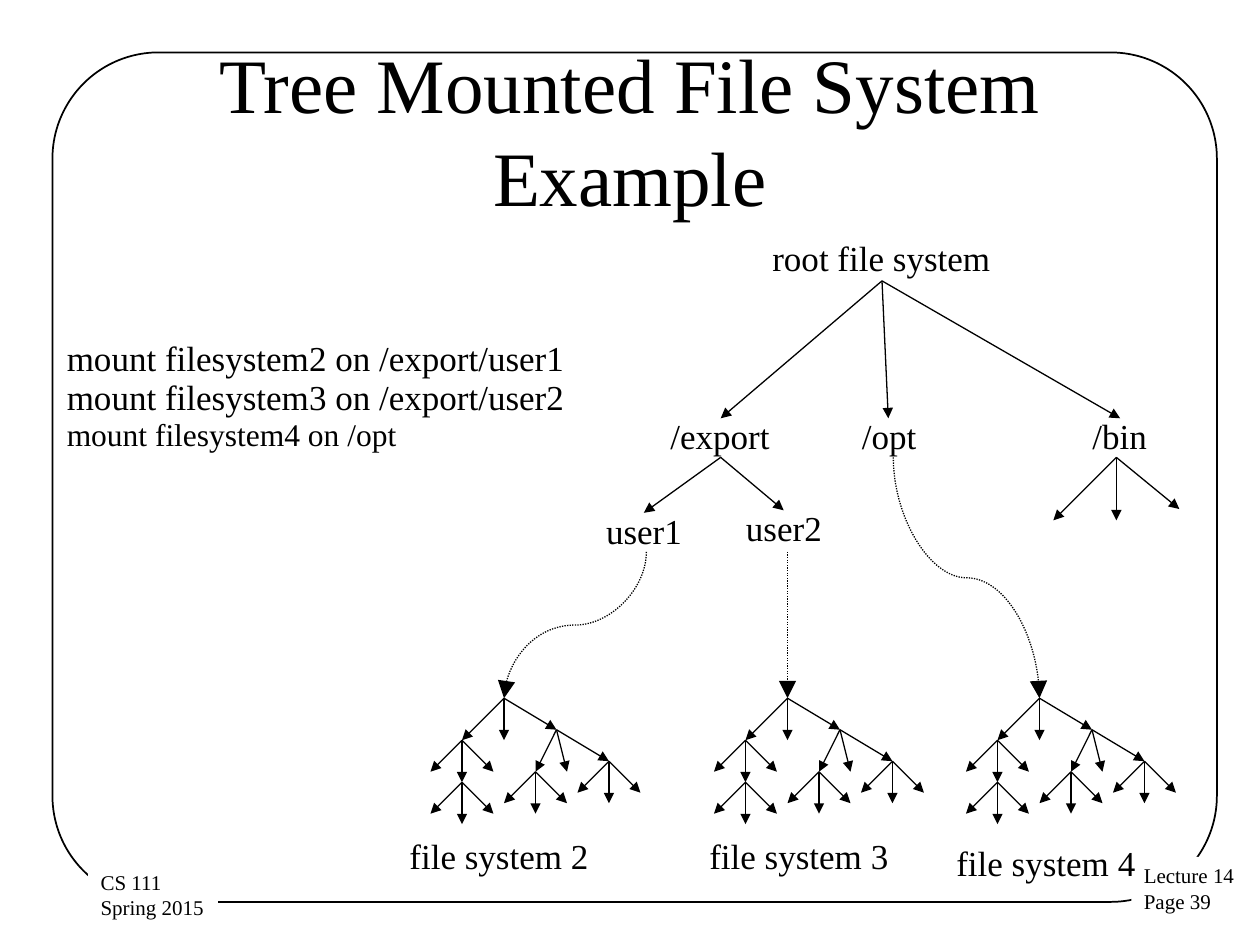
from lxml import etree
from pptx import Presentation
from pptx import util as u
from pptx.dml import color
from pptx.enum import dml, shapes, text
from pptx.oxml import ns

COLORS = {"ink": "000000", "paper": "FFFFFF"}
FONT = "Times New Roman"
COLUMNS, ROWS = 120, 90
CELL = u.Inches(10) // COLUMNS

# Each fork of a file system tree: a node and its children, in cells from the apex
TREE_FORKS = {
    (0, 0): [(-4, 4), (0, 4), (5, 3)],
    (5, 3): [(3, 7), (6, 7), (10, 6)],
    **{(x, y): [(x - 3, y + 3), (x, y + 4), (x + 3, y + 3)]
       for x, y in [(-4, 4), (-4, 8), (3, 7), (10, 6)]},
}


def cells(*counts):
    """Turn counts of grid cells into lengths."""
    return [u.Emu(round(count * CELL)) for count in counts]


def rgb(name):
    """Look up a colour by name."""
    return color.RGBColor.from_string(COLORS[name])


def write(frame, lines, sizes, spacing=None, align=None, margins=(0, 0),
          anchor=text.MSO_ANCHOR.TOP, wrap=False):
    """Fill a text frame with one paragraph per line."""
    frame.auto_size = text.MSO_AUTO_SIZE.NONE
    frame.word_wrap = wrap
    frame.vertical_anchor = anchor
    frame.margin_left = frame.margin_right = u.Inches(margins[0])
    frame.margin_top = frame.margin_bottom = u.Inches(margins[1])
    for index, (line, size) in enumerate(zip(lines, sizes)):
        paragraph = frame.add_paragraph() if index else frame.paragraphs[0]
        paragraph.alignment = align
        paragraph.line_spacing = spacing
        run = paragraph.add_run()
        run.text = line
        run.font.name = FONT
        run.font.size = u.Pt(size)
        run.font.color.rgb = rgb("ink")


def add_label(slide, box, *lines, sizes=(20,)):
    """Place a tight label in a box of cells."""
    frame = slide.shapes.add_textbox(*cells(*box)).text_frame
    write(frame, lines, sizes, spacing=0.93)


def add_arrow(container, start, end, kind=shapes.MSO_CONNECTOR.STRAIGHT,
              dash=None, head="med"):
    """Draw an arrow between two points of the grid."""
    arrow = container.add_connector(kind, *cells(*start, *end))
    arrow.line.width = u.Pt(0.75)
    arrow.line.color.rgb = rgb("ink")
    if dash:
        arrow.line.dash_style = dash
    line = arrow.line._get_or_add_ln()
    etree.SubElement(line, ns.qn("a:tailEnd"), type="triangle", w=head, len=head)
    etree.SubElement(arrow._element.spPr, ns.qn("a:effectLst"))
    return arrow


def add_fork(container, start, ends, origin=(0, 0)):
    """Draw arrows from one node to each child, relative to an origin."""
    def place(point):
        return origin[0] + point[0], origin[1] + point[1]
    for end in ends:
        add_arrow(container, place(start), place(end))


def add_mount(slide, start, end):
    """Draw a dotted arrow that leaves and arrives vertically."""
    style = {"dash": dml.MSO_LINE.ROUND_DOT, "head": "lg"}
    if start[0] == end[0]:
        add_arrow(slide.shapes, start, end, **style)
        return
    middle_x, middle_y = (start[0] + end[0]) / 2, (start[1] + end[1]) / 2
    half_width, half_height = abs(end[0] - start[0]) / 2, (end[1] - start[1]) / 2
    rightward = end[0] > start[0]
    reach = -half_height if rightward else half_height
    curve = add_arrow(slide.shapes, (middle_x - reach, middle_y - half_width),
                      (middle_x + reach, middle_y + half_width),
                      kind=shapes.MSO_CONNECTOR.CURVE, **style)
    curve._element.spPr.find(ns.qn("a:xfrm")).set(
        "rot", str((270 if rightward else 90) * 60000))


def add_frame(slide, box):
    """Draw the rounded border of the page."""
    border = slide.shapes.add_shape(shapes.MSO_SHAPE.ROUNDED_RECTANGLE, *cells(*box))
    border.adjustments[0] = 0.125
    border.shadow.inherit = False
    border.fill.background()
    border.line.color.rgb = rgb("ink")
    border.line.width = u.Pt(1)


def add_footer(slide, box, *lines):
    """Place a footer that covers the border behind it."""
    footer = slide.shapes.add_textbox(*cells(*box))
    footer.fill.solid()
    footer.fill.fore_color.rgb = rgb("paper")
    write(footer.text_frame, lines, (12, 12), margins=(0.1, 0.05))


def add_title(slide, box, title_text):
    """Fill and place the title placeholder."""
    title = slide.shapes.title
    title.left, title.top, title.width, title.height = cells(*box)
    write(title.text_frame, [title_text], [44], align=text.PP_ALIGN.CENTER,
          margins=(0.1, 0.05), anchor=text.MSO_ANCHOR.MIDDLE, wrap=True)


def add_directories(slide, left, top):
    """Draw the root file system with its directories."""
    labels = {
        "root file system": (16.56, 0.92, 20.88),
        "/export": (6.84, 17.84, 9.48),
        "/opt": (25.08, 17.84, 5.28),
        "/bin": (47.04, 17.84, 5.28),
        "user1": (0.72, 26.84, 7.32),
        "user2": (14.04, 26.6, 7.32),
    }
    forks = {
        (27, 4.75): [(49.68, 17.84), (11.64, 17.84), (27.6, 17.84)],
        (49.32, 21.56): [(43.32, 27.56), (49.32, 27.56), (55.32, 26.48)],
        (11.64, 21.56): [(4.32, 26.84), (17.64, 26.6)],
    }
    for name, (x, y, width) in labels.items():
        add_label(slide, (left + x, top + y, width, 3.84), name)
    for start, ends in forks.items():
        add_fork(slide.shapes, start, ends, (left, top))


def add_file_system(slide, apex, name, label_offset, mount_point):
    """Draw one file system tree with its label and mount arrow."""
    add_label(slide, (apex[0] + label_offset[0], apex[1] + label_offset[1],
                      17.16, 3.84), name)
    add_mount(slide, mount_point, apex)
    tree = slide.shapes.add_group_shape()
    for start, ends in TREE_FORKS.items():
        add_fork(tree.shapes, start, ends, apex)


def build():
    """Build the slide and save it."""
    presentation = Presentation()
    presentation.slide_width, presentation.slide_height = cells(COLUMNS, ROWS)
    slide = presentation.slides.add_slide(presentation.slide_layouts[5])
    add_frame(slide, (5, 5, 110.9, 80.9))
    add_footer(slide, (107.76, 81.6, 11.16, 6.12), "Lecture 14", "Page 39")
    add_footer(slide, (8.4, 82.2, 12.36, 6.12), "CS 111", "Spring 2015")
    add_title(slide, (6, 4.8, 108, 15), "Tree Mounted File System Example")
    add_label(slide, (6.36, 32.4, 47.76, 14.64),
              "mount filesystem2 on /export/user1",
              "mount filesystem3 on /export/user2",
              "mount filesystem4 on /opt", sizes=(20, 20, 18))
    add_directories(slide, 57, 22)
    for apex_x, name, label_offset, mount_point in [
            (48, "file system 2", (-9, 13.3), (61.56, 52.56)),
            (75, "file system 3", (-7.44, 13.3), (75, 52.56)),
            (99, "file system 4", (-7.92, 14), (85.08, 43.56))]:
        add_file_system(slide, (apex_x, 66.5), name, label_offset, mount_point)
    presentation.save("out.pptx")


build()
